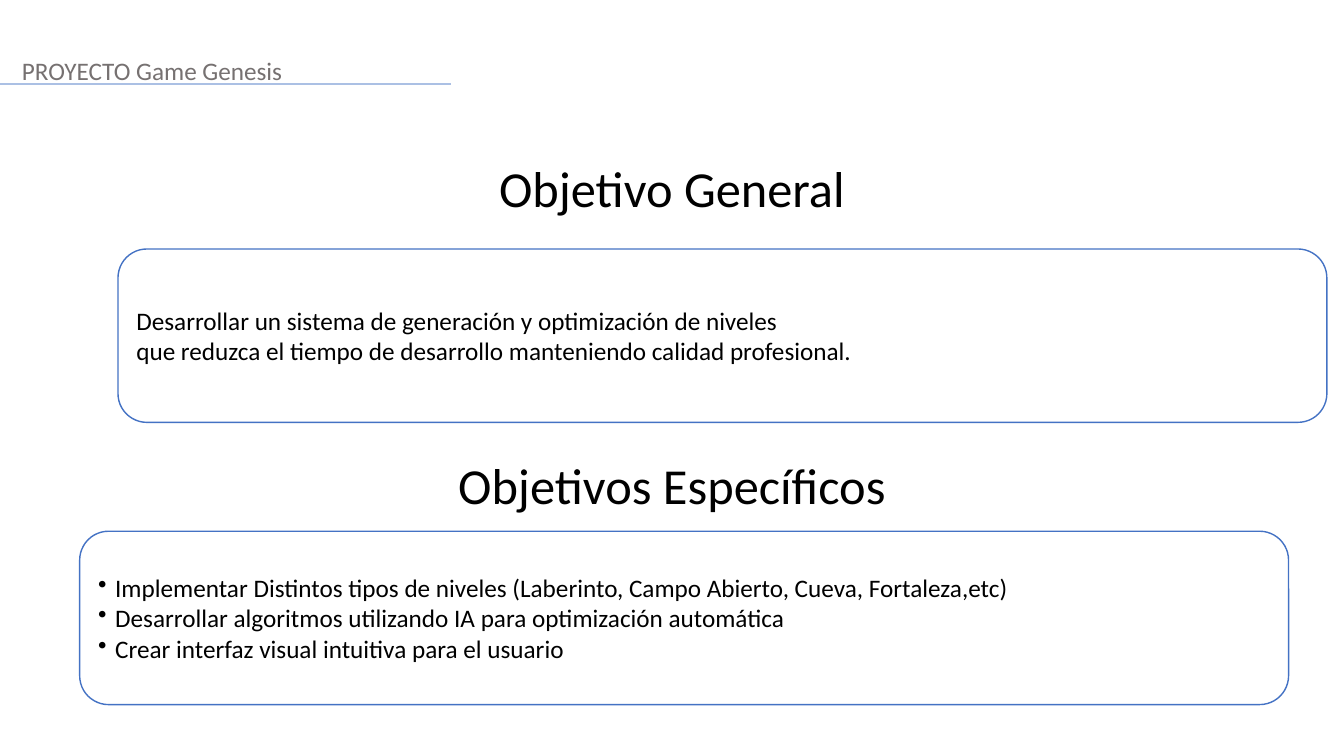
from lxml import etree
from pptx import Presentation
from pptx.dml.color import RGBColor
from pptx.enum.shapes import MSO_CONNECTOR, MSO_SHAPE
from pptx.enum.text import MSO_ANCHOR, PP_ALIGN
from pptx.oxml.ns import qn
from pptx.util import Emu, Pt

STRAIGHT = MSO_CONNECTOR.STRAIGHT
ROUNDED = MSO_SHAPE.ROUNDED_RECTANGLE
LEFT, CENTER = PP_ALIGN.LEFT, PP_ALIGN.CENTER
MIDDLE = MSO_ANCHOR.MIDDLE

FONT = "Calibri"
PAGE_WIDTH, PAGE_HEIGHT = 1333, 750
BULLET_INDENT = 17
COLORS = {
    "paper": "FFFFFF",
    "ink": "000000",
    "header": "767171",
    "rule": "ABC0E4",
    "border": "4472C4",
}


def px(length):
    return Emu(length * 9144)


def color(name):
    return RGBColor.from_string(COLORS[name])


def write(para, text, size, ink="ink", align=LEFT):
    para.alignment = align
    span = para.add_run()
    span.text = text
    span.font.name = FONT
    span.font.size = Pt(size)
    span.font.color.rgb = color(ink)


def add_bullet(para):
    properties = para._p.get_or_add_pPr()
    properties.set("marL", str(px(BULLET_INDENT)))
    properties.set("indent", str(px(-BULLET_INDENT)))
    etree.SubElement(properties, qn("a:buChar")).set("char", "•")


def add_label(page, box, text, size, ink="ink", align=LEFT):
    label = page.shapes.add_textbox(*map(px, box))
    label.text_frame.word_wrap = True
    write(label.text_frame.paragraphs[0], text, size, ink, align)


def add_header(page, box, text):
    left, top, width, height = box
    add_label(page, (left + 12, top, width, height), text, 18, "header")
    rule_y = px(top + 33)
    rule = page.shapes.add_connector(STRAIGHT, px(left), rule_y, px(left + 447), rule_y)
    rule.line.color.rgb = color("rule")
    rule.line.width = Pt(1.25)
    etree.SubElement(rule._element.spPr, qn("a:effectLst"))


def add_panel(page, box, lines, bulleted):
    panel = page.shapes.add_shape(ROUNDED, *map(px, box))
    panel.shadow.inherit = False
    panel.fill.solid()
    panel.fill.fore_color.rgb = color("paper")
    panel.line.color.rgb = color("border")
    panel.line.width = Pt(1)
    frame = panel.text_frame
    frame.word_wrap = True
    frame.vertical_anchor = MIDDLE
    for index, line in enumerate(lines):
        para = frame.add_paragraph() if index else frame.paragraphs[0]
        write(para, line, 18)
        if bulleted:
            add_bullet(para)


def add_objective(page, box, title, panel_left, panel_offset, lines, bulleted=False):
    left, top, width, height = box
    add_label(page, (left, top, width, 71), title, 36, align=CENTER)
    panel_box = (left + panel_left, top + panel_offset, 1199, height - panel_offset)
    add_panel(page, panel_box, lines, bulleted)


def main():
    deck = Presentation()
    deck.slide_width, deck.slide_height = px(PAGE_WIDTH), px(PAGE_HEIGHT)
    page = deck.slides.add_slide(deck.slide_layouts[6])

    add_header(page, (0, 50, PAGE_WIDTH, 40), "PROYECTO Game Genesis")
    add_objective(page, (0, 151, PAGE_WIDTH, 268), "Objetivo General", 117, 96, [
        "Desarrollar un sistema de generación y optimización de niveles",
        "que reduzca el tiempo de desarrollo manteniendo calidad profesional.",
    ])
    add_objective(page, (0, 446, PAGE_WIDTH, 253), "Objetivos Específicos", 79, 81, [
        "Implementar Distintos tipos de niveles (Laberinto, Campo Abierto, Cueva, Fortaleza,etc)",
        "Desarrollar algoritmos utilizando IA para optimización automática",
        "Crear interfaz visual intuitiva para el usuario",
    ], bulleted=True)

    deck.save("out.pptx")


if __name__ == "__main__":
    main()
